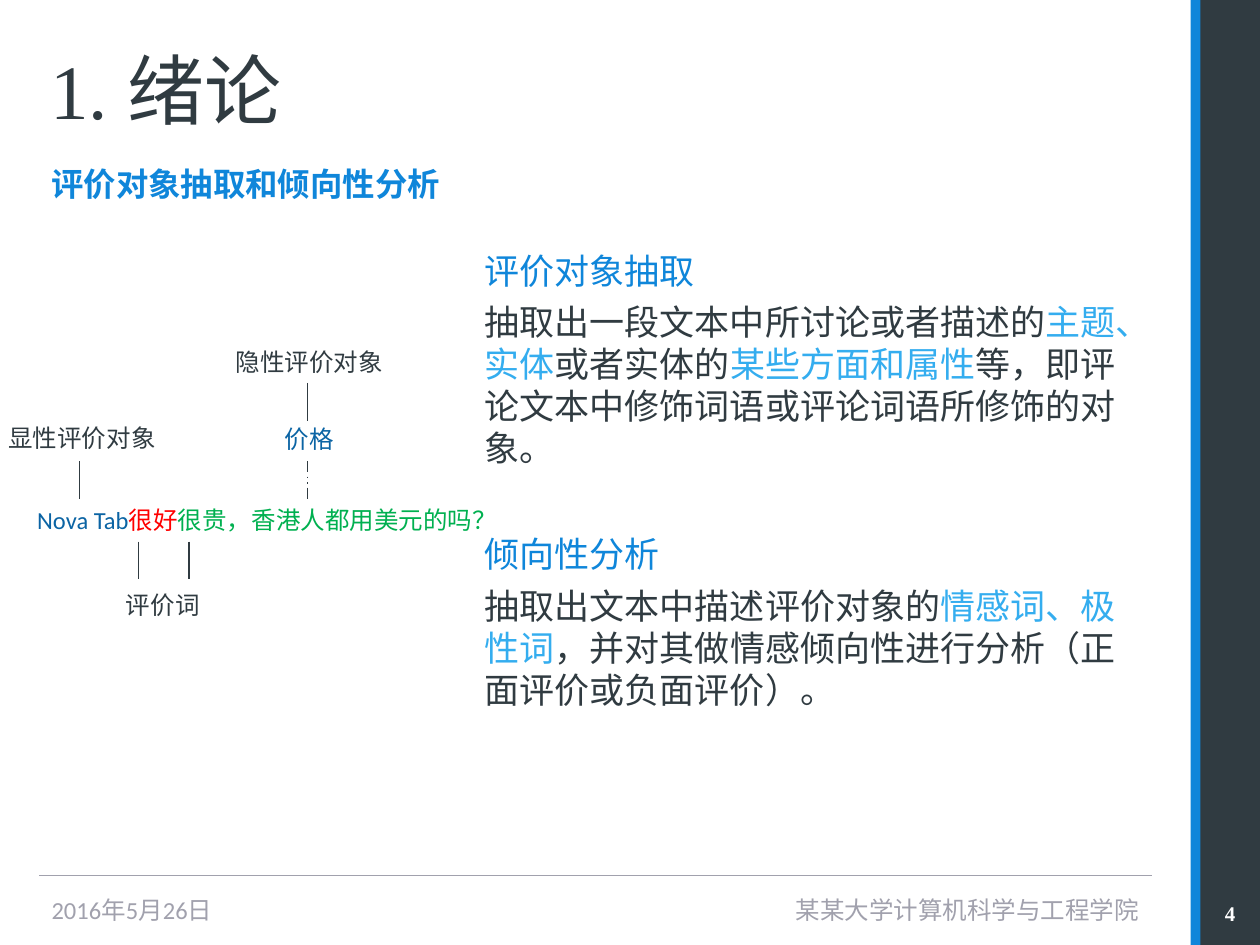
from lxml import etree
from pptx import Presentation
from pptx import util as u
from pptx.dml.color import RGBColor
from pptx.enum import dml, shapes, text
from pptx.oxml import ns

COLORS = {
    "dark": "303B41", "blue": "0F86DA", "sky": "34ADEF", "navy": "0B64A4",
    "red": "FF0000", "green": "00B050", "grey": "A1A1AD", "white": "FFFFFF",
}
SERIF, SANS = "Times New Roman", "Calibri"


def rgb(name):
    return RGBColor.from_string(COLORS[name])


def add_text(parent, box, paras, size, font=SERIF, bold=False, **frame):
    sp = parent.add_textbox(*map(u.Cm, box))
    tf = sp.text_frame
    for key, value in {"word_wrap": True, **frame}.items():
        setattr(tf, key, value)
    for i, (runs, fmt) in enumerate(paras):
        p = tf.paragraphs[0] if i == 0 else tf.add_paragraph()
        for key, value in fmt.items():
            setattr(p, key, value)
        for words, color in runs:
            r = p.add_run()
            r.text = words
            for key, value in {"name": font, "size": u.Pt(size), "bold": bold}.items():
                setattr(r.font, key, value)
            r.font.color.rgb = rgb(color)
    return sp


def add_line(parent, x, y, dx, dy, color, dash=None):
    ends = map(u.Cm, (x, y, x + dx, y + dy))
    line = parent.add_connector(shapes.MSO_CONNECTOR.STRAIGHT, *ends)
    line.line.color.rgb = rgb(color)
    line.line.width = u.Pt(0.79)
    if dash:
        line.line.dash_style = dash
    etree.SubElement(line._element.spPr, ns.qn("a:effectLst"))


def side_band(s, x, y, w, h):
    for inset, color in ((0, "blue"), (0.2, "dark")):
        box = map(u.Cm, (x + inset, y, w - inset, h))
        sp = s.shapes.add_shape(shapes.MSO_SHAPE.RECTANGLE, *box)
        sp.shadow.inherit = False
        sp.fill.solid()
        sp.fill.fore_color.rgb = rgb(color)
        sp.line.fill.background()
    add_text(s.shapes, (x + 0.2, y + 18.06, w - 0.2, 0.69),
             [([("4", "white")], {"alignment": text.PP_ALIGN.CENTER})],
             11.9, bold=True, vertical_anchor=text.MSO_ANCHOR.MIDDLE,
             margin_left=0, margin_right=0)


def heading(s, x, y, w):
    add_text(s.shapes, (x, y, w, 2.74), [([("1. 绪论", "dark")], {})],
             44, vertical_anchor=text.MSO_ANCHOR.MIDDLE)
    add_text(s.shapes, (x + 0.03, y + 2.77, w, 0.99),
             [([("评价对象抽取和倾向性分析", "blue")], {})], 18.5, bold=True)


def footer(s, x, y, w):
    add_line(s.shapes, x, y, w, 0, "grey")
    middle = text.MSO_ANCHOR.MIDDLE
    add_text(s.shapes, (x, y + 0.18, 4.95, 1.02),
             [([("2016年5月26日", "grey")], {})], 14, SANS, vertical_anchor=middle)
    add_text(s.shapes, (x + w - 15.06, y + 0.18, 15.06, 1.02),
             [([("某某大学计算机科学与工程学院", "grey")],
               {"alignment": text.PP_ALIGN.RIGHT})], 14, vertical_anchor=middle)


def definitions(s, x, y, w, h):
    line = {"line_spacing": u.Pt(24)}
    detail = {**line, "space_before": u.Pt(5.5)}
    add_text(s.shapes, (x, y, w, h), [
        ([("评价对象抽取", "blue")], line),
        ([("抽取出一段文本中所讨论或者描述的", "dark"), ("主题、实体", "sky"),
          ("或者实体的", "dark"), ("某些方面和属性", "sky"),
          ("等，即评论文本中修饰词语或评论词语所修饰的对象。", "dark")], detail),
        ([("倾向性分析", "blue")], {**line, "space_before": u.Pt(36.5)}),
        ([("抽取出文本中描述评价对象的", "dark"), ("情感词、极性词", "sky"),
          ("，并对其做情感倾向性进行分析（正面评价或负面评价）。", "dark")], detail),
    ], 20)


def example(s, x, y):
    group = s.shapes.add_group_shape().shapes
    labels = (
        (0.5, 3.18, 9.91, [("Nova Tab", "navy"), ("很好", "red"),
                           ("很贵，香港人都用美元的吗？", "green")]),
        (2.29, 4.88, 2.13, [("评价词", "dark")]),
        (-0.08, 1.53, 3.86, [("显性评价对象", "dark")]),
        (5.49, 1.55, 1.52, [("价格", "navy")]),
        (4.5, 0, 3.86, [("隐性评价对象", "dark")]),
    )
    for dx, dy, w, runs in labels:
        add_text(group, (x + dx, y + dy, w, 0.86), [(runs, {})], 14, SANS)
    dashed = dml.MSO_LINE.DASH_DOT_DOT
    for dx, dy, dash in ((2.79, 4.04, None), (3.81, 4.04, None), (1.6, 2.42, None),
                         (6.2, 2.42, dashed), (6.2, 0.84, None)):
        add_line(group, x + dx, y + dy, 0, 0.76, "dark", dash)


def main():
    prs = Presentation()
    prs.slide_width, prs.slide_height = u.Cm(25.4), u.Cm(19.05)
    s = prs.slides.add_slide(prs.slide_layouts[6])
    side_band(s, 24, 0, 1.4, 19.05)
    footer(s, 0.79, 17.65, 22.43)
    heading(s, 0.76, 0.41, 22.66)
    definitions(s, 9.52, 4.9, 13.9, 11.91)
    example(s, 0, 6.88)
    prs.save("out.pptx")


if __name__ == "__main__":
    main()
